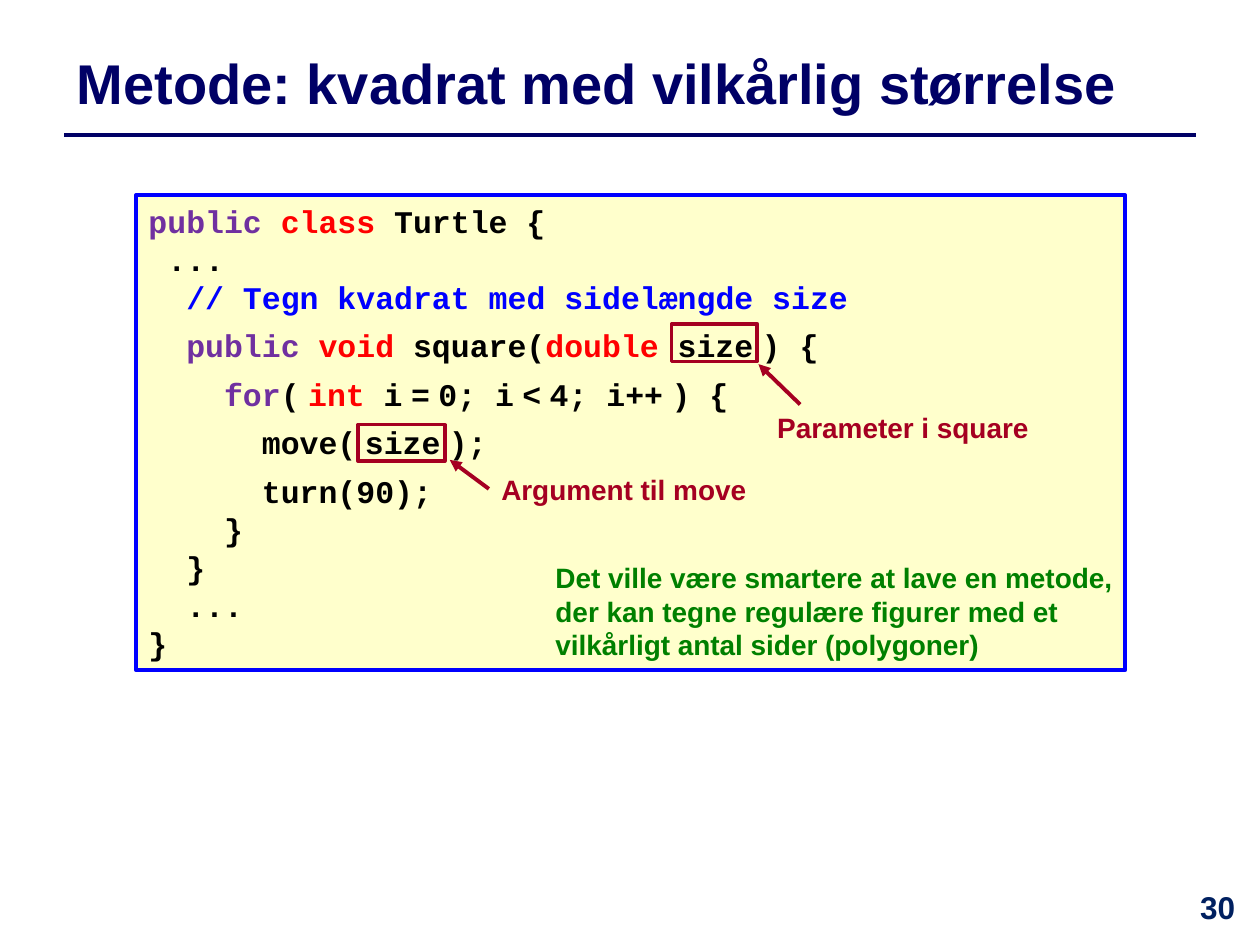
"""Builds a slide on a Java method that draws a square of any size."""
from pptx import Presentation
from pptx.dml.color import RGBColor
from pptx.enum.shapes import MSO_CONNECTOR, MSO_SHAPE
from pptx.enum.text import MSO_ANCHOR, PP_ALIGN
from pptx.oxml.ns import qn
from pptx.util import Inches, Pt
from lxml import etree

RECTANGLE = MSO_SHAPE.RECTANGLE
STRAIGHT = MSO_CONNECTOR.STRAIGHT
LEFT, CENTER = PP_ALIGN.LEFT, PP_ALIGN.CENTER
TOP, MIDDLE = MSO_ANCHOR.TOP, MSO_ANCHOR.MIDDLE

NAVY, DARK_BLUE, BLUE = "000066", "002060", "0000FF"
BLACK, PURPLE, RED = "000000", "7030A0", "FF0000"
CRIMSON, GREEN, CREAM = "A50021", "008000", "FFFFCC"
CODE_SIZE, GAP_SIZE, CODE_LINE = 18, 8, 21.7
GAP = (" ", BLACK, GAP_SIZE)


def code(text, color=BLACK):
    return text, color, CODE_SIZE


CODE_BOX = (1.08, 1.55, 7.85, 3.77)
CODE_LINES = [
    (0, [code("public ", PURPLE), code("class ", RED), code("Turtle {")]),
    (0, [code(" ...")]),
    (0, [code("  "), code("// Tegn kvadrat med sidelængde size", BLUE)]),
    (6, [code("  "), code("public ", PURPLE), code("void ", RED), code("square("),
         code("double ", RED), code("size"), GAP, code(") {")]),
    (6, [code("    "), code("for", PURPLE), code("("), GAP, code("int ", RED),
         code("i"), GAP, code("="), GAP, code("0; i"), GAP, code("<"), GAP,
         code("4; i++"), GAP, code(") {")]),
    (6, [code("      move("), GAP, code("size"), GAP, code(");")]),
    (6, [code("      turn(90);")]),
    (0, [code("    }")]),
    (0, [code("  }")]),
    (0, [code("  ...")]),
    (0, [code("}")]),
]
LABELS = [
    ("Metode: kvadrat med vilkårlig størrelse", (0.51, 0.28, 8.98, 0.75), 32, NAVY, LEFT, MIDDLE),
    ("Argument til move", (3.88, 3.7, 2.31, 0.37), 16, CRIMSON, LEFT, TOP),
    ("Parameter i square", (6.07, 3.21, 2.34, 0.37), 16, CRIMSON, LEFT, TOP),
    ("Det ville være smartere at lave en metode, der kan tegne regulære figurer "
     "med et vilkårligt antal sider (polygoner)", (4.31, 4.4, 4.79, 0.91), 16, GREEN, LEFT, TOP),
    ("30", (9.33, 7, 0.67, 0.5), 18, DARK_BLUE, CENTER, TOP),
]
TITLE_RULE = (0.51, 1.07, 9.49, 1.07)
ARROWS = [(3.88, 3.88, 3.57, 3.65), (6.35, 3.21, 6.02, 2.89)]
SIZE_FRAMES = [(5.33, 2.57, 0.68, 0.3), (2.84, 3.37, 0.69, 0.29)]


def rgb(color):
    return RGBColor.from_string(color)


def inches(values):
    return [Inches(value) for value in values]


def add_run(paragraph, text, font, size, color):
    run = paragraph.add_run()
    run.text = text
    run.font.name = font
    run.font.size = Pt(size)
    run.font.bold = True
    run.font.color.rgb = rgb(color)


def add_label(slide, text, box, size, color, alignment, anchor):
    frame = slide.shapes.add_textbox(*inches(box)).text_frame
    frame.word_wrap = True
    frame.vertical_anchor = anchor
    paragraph = frame.paragraphs[0]
    paragraph.alignment = alignment
    add_run(paragraph, text, "Arial", size, color)


def add_box(slide, box, line_color, line_width, fill=None):
    shape = slide.shapes.add_shape(RECTANGLE, *inches(box))
    shape.shadow.inherit = False
    if fill:
        shape.fill.solid()
        shape.fill.fore_color.rgb = rgb(fill)
    else:
        shape.fill.background()
    shape.line.color.rgb = rgb(line_color)
    shape.line.width = Pt(line_width)
    return shape


def add_line(slide, ends, color, width, arrow=False):
    connector = slide.shapes.add_connector(STRAIGHT, *inches(ends))
    connector.line.color.rgb = rgb(color)
    connector.line.width = Pt(width)
    if arrow:
        etree.SubElement(connector.line._get_or_add_ln(), qn("a:tailEnd"), type="triangle")
    etree.SubElement(connector._element.spPr, qn("a:effectLst"))


def add_code(slide):
    frame = add_box(slide, CODE_BOX, BLUE, 2.25, CREAM).text_frame
    frame.word_wrap = True
    frame.vertical_anchor = TOP
    for index, (space_before, runs) in enumerate(CODE_LINES):
        paragraph = frame.add_paragraph() if index else frame.paragraphs[0]
        paragraph.alignment = LEFT
        paragraph.line_spacing = Pt(CODE_LINE)
        paragraph.space_before = Pt(space_before)
        for text, color, size in runs:
            add_run(paragraph, text, "Courier New", size, color)


def main():
    presentation = Presentation()
    presentation.slide_width, presentation.slide_height = Inches(10), Inches(7.5)
    slide = presentation.slides.add_slide(presentation.slide_layouts[6])
    add_line(slide, TITLE_RULE, NAVY, 2)
    add_code(slide)
    for label in LABELS:
        add_label(slide, *label)
    for ends in ARROWS:
        add_line(slide, ends, CRIMSON, 2.25, arrow=True)
    for box in SIZE_FRAMES:
        add_box(slide, box, CRIMSON, 2)
    presentation.save("out.pptx")


if __name__ == "__main__":
    main()
